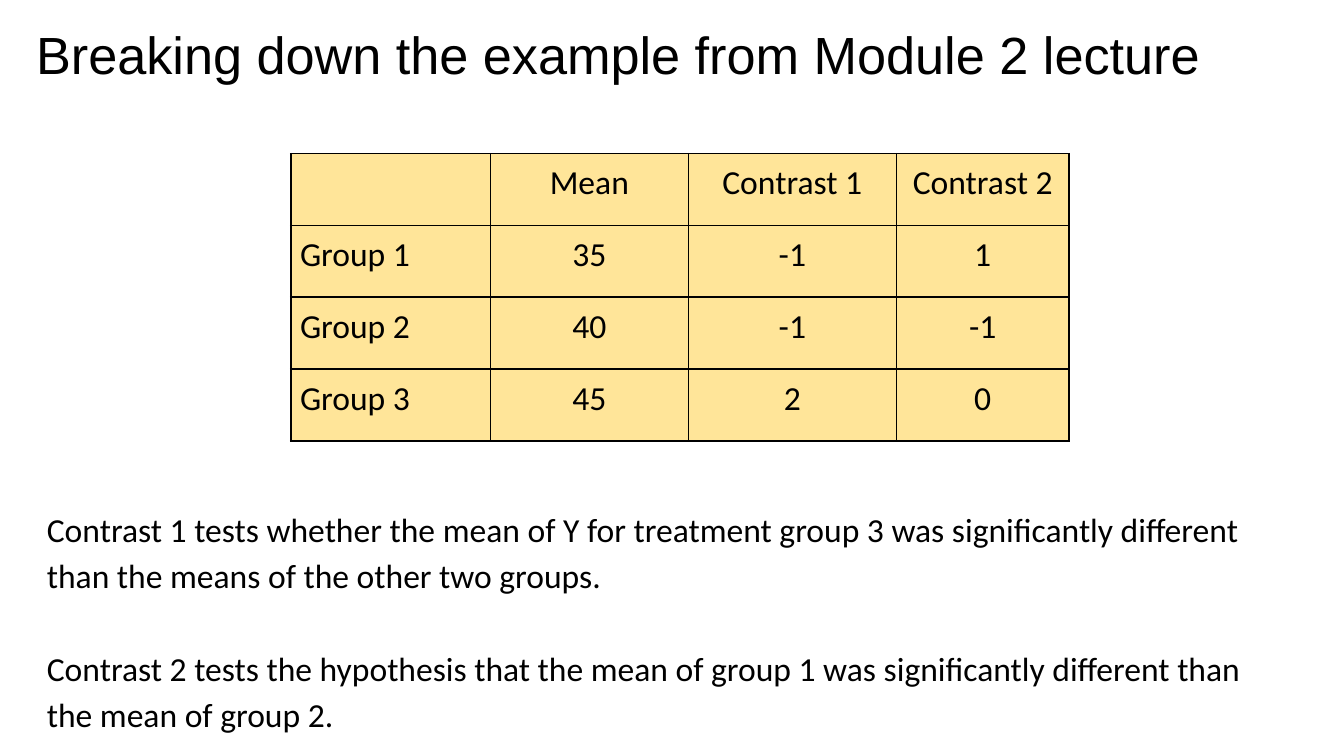
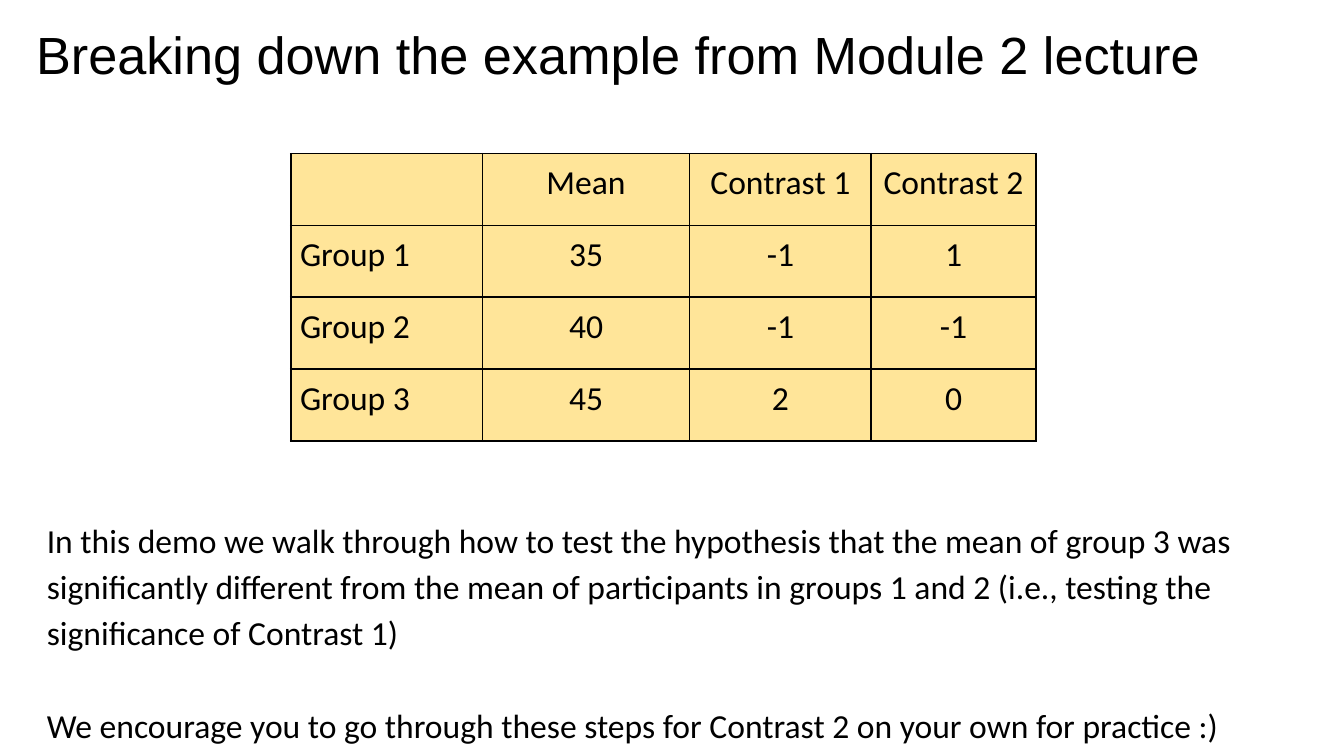
from pptx import Presentation
from pptx.dml.color import RGBColor
from pptx.enum.text import MSO_ANCHOR, PP_ALIGN
from pptx.oxml import parse_xml
from pptx.oxml.ns import nsdecls
from pptx.util import Pt

# Content
TITLE = "Breaking down the example from Module 2 lecture"
CONTRASTS = [
    ("", "Mean", "Contrast 1", "Contrast 2"),
    ("Group 1", "35", "-1", "1"),
    ("Group 2", "40", "-1", "-1"),
    ("Group 3", "45", "2", "0"),
]
SLIDES = [
    {
        "col_widths": (107, 106, 111.5, 92.5),
        "notes_top": 262,
        "notes": [
            "Contrast 1 tests whether the mean of Y for treatment group 3 was "
            "significantly different than the means of the other two groups.",
            "Contrast 2 tests the hypothesis that the mean of group 1 was "
            "significantly different than the mean of group 2.",
        ],
    },
    {
        "col_widths": (102.75, 111, 97.25, 88.25),
        "notes_top": 268,
        "notes": [
            "In this demo we walk through how to test the hypothesis that the mean of "
            "group 3 was significantly different from the mean of participants in "
            "groups 1 and 2 (i.e., testing the significance of Contrast 1)",
            "We encourage you to go through these steps for Contrast 2 on your own "
            "for practice :)",
        ],
    },
]

# Shared style
BLACK = RGBColor(0x00, 0x00, 0x00)
CELL_FILL = RGBColor(0xFF, 0xE5, 0x99)
TITLE_FONT, BODY_FONT = "Arial", "Calibri"
TITLE_SIZE, BODY_SIZE = 28, 18
TABLE_LEFT, TABLE_TOP, ROW_HEIGHT = 155.75, 82.25, 38.5
PARAGRAPH_GAP = 25


def style(p, font, size):
    p.font.name, p.font.size = font, Pt(size)
    p.font.color.rgb = BLACK


def set_margins(target, inset):
    target.margin_left = target.margin_right = Pt(inset)
    target.margin_top = target.margin_bottom = Pt(inset)


def add_text(s, box, paragraphs, font, size, line_spacing=1.0):
    tf = s.shapes.add_textbox(*map(Pt, box)).text_frame
    tf.word_wrap = True
    set_margins(tf, 7.2)
    tf.text = "\n".join(paragraphs)
    for i, p in enumerate(tf.paragraphs):
        p.line_spacing = line_spacing
        if i:
            p.space_before = Pt(PARAGRAPH_GAP)
        style(p, font, size)


def add_borders(cell):
    tc_pr = cell._tc.get_or_add_tcPr()
    for i, side in enumerate("LRTB"):
        tc_pr.insert(i, parse_xml(
            f'<a:ln{side} {nsdecls("a")} w="{Pt(1)}"><a:solidFill>'
            f'<a:srgbClr val="{BLACK}"/></a:solidFill></a:ln{side}>'))


def add_contrast_table(s, col_widths):
    size = (sum(col_widths), ROW_HEIGHT * len(CONTRASTS))
    table = s.shapes.add_table(len(CONTRASTS), len(col_widths),
                               *map(Pt, (TABLE_LEFT, TABLE_TOP, *size))).table
    table.first_row = table.horz_banding = False
    for column, width in zip(table.columns, col_widths):
        column.width = Pt(width)
    for r, values in enumerate(CONTRASTS):
        table.rows[r].height = Pt(ROW_HEIGHT)
        for c, value in enumerate(values):
            cell = table.cell(r, c)
            cell.text = value
            cell.vertical_anchor = MSO_ANCHOR.TOP
            set_margins(cell, 5)
            cell.fill.solid()
            cell.fill.fore_color.rgb = CELL_FILL
            add_borders(cell)
            p = cell.text_frame.paragraphs[0]
            p.alignment = PP_ALIGN.CENTER if c else PP_ALIGN.LEFT
            style(p, BODY_FONT, BODY_SIZE)


def main():
    prs = Presentation()
    prs.slide_width, prs.slide_height = Pt(720), Pt(405)
    for content in SLIDES:
        s = prs.slides.add_slide(prs.slide_layouts[6])
        add_text(s, (12.25, 5, 671, 45), [TITLE], TITLE_FONT, TITLE_SIZE)
        add_contrast_table(s, content["col_widths"])
        add_text(s, (18, content["notes_top"], 658, 45), content["notes"],
                 BODY_FONT, BODY_SIZE, 1.15)
    prs.save("out.pptx")


if __name__ == "__main__":
    main()
